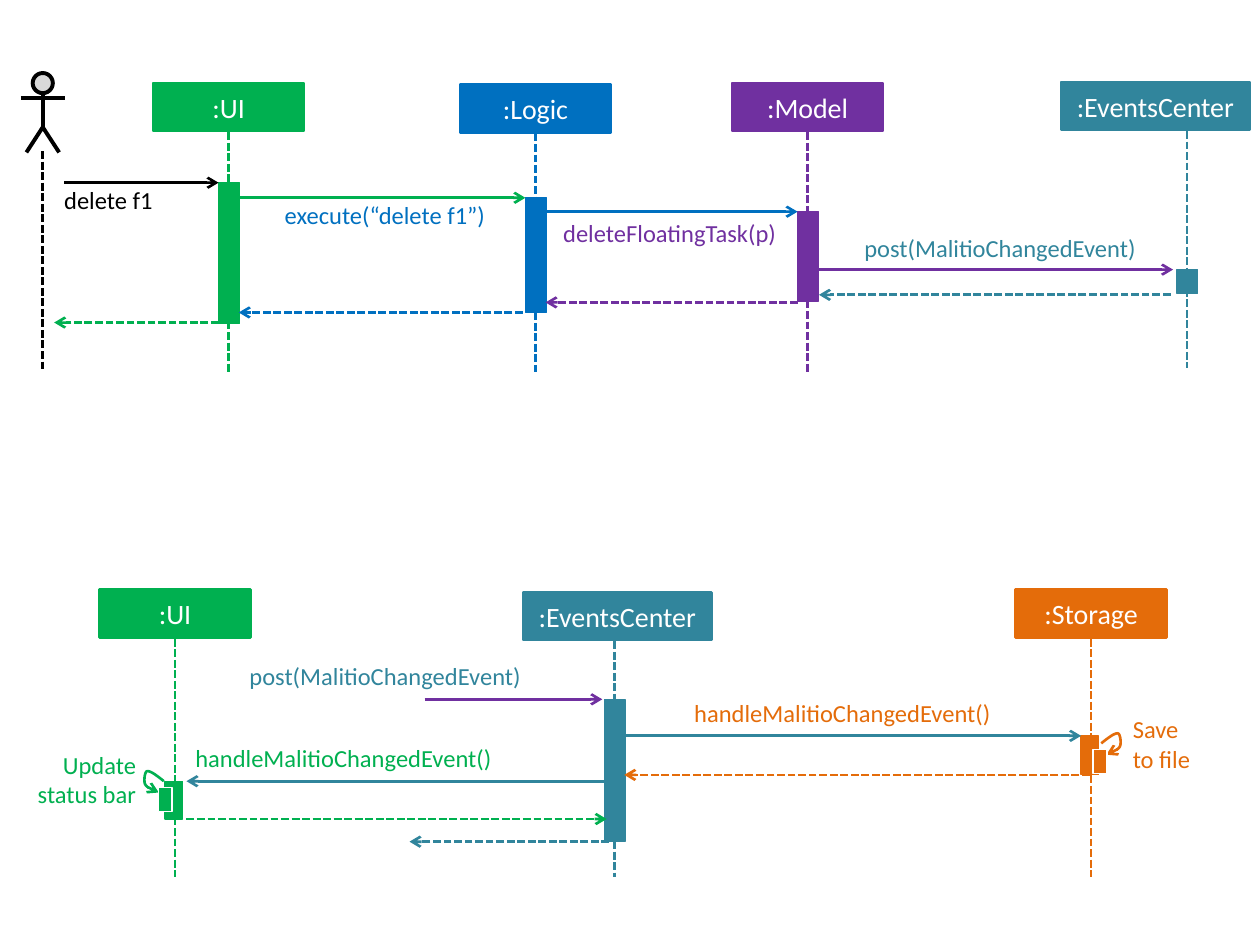
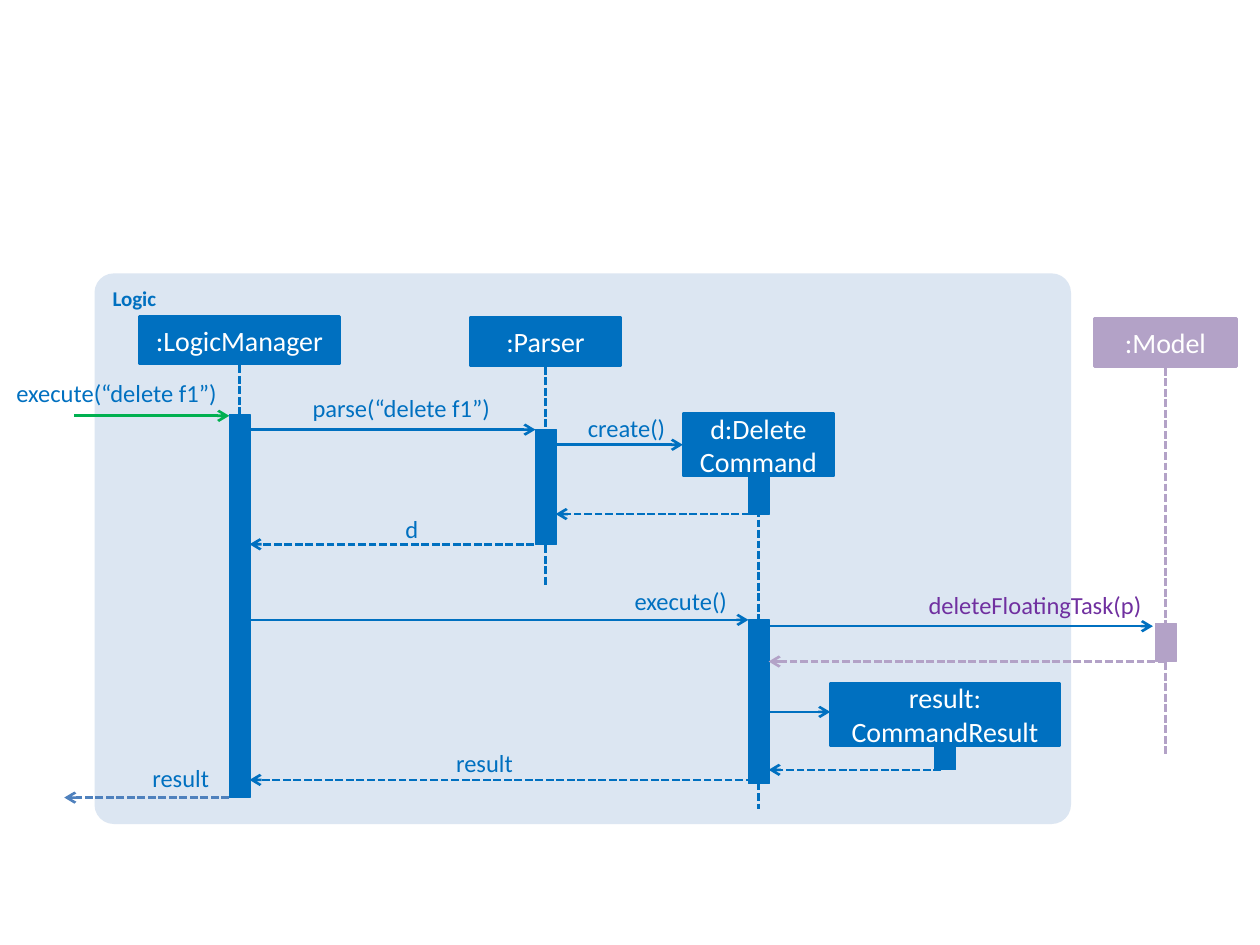
from pptx import Presentation
from pptx.dml.color import RGBColor
from pptx.enum.dml import MSO_LINE
from pptx.enum.shapes import MSO_CONNECTOR, MSO_SHAPE
from pptx.enum.text import MSO_ANCHOR, PP_ALIGN
from pptx.oxml.ns import qn
from pptx.util import Inches, Pt
from lxml import etree

RECT, ROUNDED, CIRCLE = MSO_SHAPE.RECTANGLE, MSO_SHAPE.ROUNDED_RECTANGLE, MSO_SHAPE.FLOWCHART_CONNECTOR
STRAIGHT, DASH = MSO_CONNECTOR.STRAIGHT, MSO_LINE.SQUARE_DOT
LEFT, CENTER, RIGHT = PP_ALIGN.LEFT, PP_ALIGN.CENTER, PP_ALIGN.RIGHT
TOP, MIDDLE = MSO_ANCHOR.TOP, MSO_ANCHOR.MIDDLE

FONT = "Calibri"
BLACK, WHITE, GREY = "000000", "FFFFFF", "D9D9D9"
GREEN, BLUE, PURPLE, TEAL, ORANGE = "00B050", "0070C0", "7030A0", "31859C", "E46C0A"
PANEL, LILAC, STEEL = "DCE6F2", "B3A2C7", "4F81BD"

# The slide is a grid of 100 columns by 75 rows, with square cells
WIDTH, HEIGHT = Inches(10), Inches(7.5)
COL, ROW = WIDTH / 100, HEIGHT / 75
HEAD_W, HEAD_H = 12, 3.8
BAR_W, HALF = 1.65, 0.8
LABEL_H = 2.4


def rgb(hex_colour):
    return RGBColor.from_string(hex_colour)


def set_text(tf, text, size=14, colour=BLACK, bold=False, align=LEFT, anchor=TOP, inset=None):
    tf.word_wrap = True
    tf.vertical_anchor = anchor
    if inset is not None:
        tf.margin_left = tf.margin_right = tf.margin_top = tf.margin_bottom = inset
    p = tf.paragraphs[0]
    p.text = text
    p.alignment = align
    for r in p.runs:
        r.font.name, r.font.size, r.font.bold = FONT, Pt(size), bold
        r.font.color.rgb = rgb(colour)


def set_line(line, colour, width, dashed=False):
    line.color.rgb = rgb(colour)
    line.width = Pt(width)
    if dashed:
        line.dash_style = DASH


def add_arrowhead(sp, end="a:tailEnd"):
    ln = sp.line._get_or_add_ln()
    etree.SubElement(ln, qn(end)).set("type", "arrow")


def curve(p0, p1, p2, p3, steps=8):
    """Points along a cubic curve, without its first point."""
    points = []
    for i in range(1, steps + 1):
        t = i / steps
        weights = ((1 - t) ** 3, 3 * t * (1 - t) ** 2, 3 * t * t * (1 - t), t ** 3)
        points.append(tuple(sum(w * p[k] for w, p in zip(weights, (p0, p1, p2, p3)))
                            for k in (0, 1)))
    return points


class Diagram:
    """A sequence diagram whose parts are placed from its own left and top."""

    def __init__(self, s, left, top):
        self.s, self.left, self.top = s, left, top

    def at(self, x, y):
        return round((self.left + x) * COL), round((self.top + y) * ROW)

    def box(self, x, y, w, h, fill, line=None, width=0.75, kind=RECT):
        sp = self.s.shapes.add_shape(kind, *self.at(x, y), round(w * COL), round(h * ROW))
        sp.shadow.inherit = False
        sp.fill.solid()
        sp.fill.fore_color.rgb = rgb(fill)
        if line:
            set_line(sp.line, line, width)
        else:
            sp.line.fill.background()
        return sp

    def line(self, x1, y1, x2, y2, colour, width=1.5, dashed=False, arrow=False):
        cn = self.s.shapes.add_connector(STRAIGHT, *self.at(x1, y1), *self.at(x2, y2))
        set_line(cn.line, colour, width, dashed)
        if arrow:
            add_arrowhead(cn)
        etree.SubElement(cn._element.spPr, qn("a:effectLst"))

    def path_line(self, points, colour, width):
        start, *rest = [self.at(*point) for point in points]
        fb = self.s.shapes.build_freeform(*start)
        fb.add_line_segments(rest, close=False)
        sp = fb.convert_to_shape()
        sp.shadow.inherit = False
        sp.fill.background()
        set_line(sp.line, colour, width)
        return sp

    def label(self, x, y, w, text, colour, align=LEFT, h=LABEL_H):
        tb = self.s.shapes.add_textbox(*self.at(x, y), round(w * COL), round(h * ROW))
        set_text(tb.text_frame, text, colour=colour, align=align, inset=0)

    def participant(self, x, top, name, colour, w=HEAD_W, h=HEAD_H, shift=0,
                    end=None, bars=(), bar_w=BAR_W):
        """A head, a lifeline down to end, and bars given as (top, bottom)."""
        head = self.box(x + shift - w / 2, top, w, h, colour, colour, 1.5)
        set_text(head.text_frame, name, size=16, colour=WHITE, align=CENTER, anchor=MIDDLE)
        if end:
            self.line(x, top + h + 0.1, x, end, colour, dashed=True)
        for bar_top, bottom in bars:
            self.box(x - HALF, bar_top, bar_w, bottom - bar_top, colour, colour)

    def message(self, x1, x2, y, colour, dashed=False, gaps=(HALF, HALF)):
        """An arrow between two lifelines that stops at the edges of their bars."""
        way = 1 if x2 > x1 else -1
        self.line(x1 + way * gaps[0], y, x2 - way * gaps[1], y, colour, dashed=dashed, arrow=True)

    def reply(self, x1, x2, y, colour, gaps=(HALF, HALF)):
        self.message(x1, x2, y, colour, True, gaps)

    def actor(self, x, top, end):
        self.line(x, top + 6.2, x, end, BLACK, dashed=True)
        self.box(x - 0.8, top, 1.6, 1.6, GREY, BLACK, 2.25, CIRCLE)
        self.line(x, top + 1.6, x, top + 4.4, BLACK, 2.25)
        self.line(x - 1.75, top + 2, x + 1.75, top + 2, BLACK, 2.25)
        self.path_line([(x - 1.3, top + 6.3), (x, top + 4.3), (x + 1.3, top + 6.3)], BLACK, 2.25)

    def self_call(self, x, y, side, colour):
        """A small bar with a looping arrow; side is -1 for left, 1 for right."""
        offsets = [(0.5, 0.4), (1, 0.2), (1.5, 0), (1.6, -0.3), (1.7, -0.6),
                   (1.6, -1.3), (1.4, -1.3), (1.1, -1.3), (0.6, -0.9), (0.1, -0.5)]
        pts = [(x + side * dx, y + dy) for dx, dy in offsets]
        points = pts[:1]
        for i in (0, 3, 6):
            points += curve(*pts[i:i + 4])
        add_arrowhead(self.path_line(points, colour, 1.5), "a:headEnd")
        self.box(x - 0.55, y, 1.1, 1.9, colour, WHITE)


def delete_flow(s, left, top):
    d = Diagram(s, left, top)
    user, ui, logic, model, events = 3.4, 18.15, 42.5, 64.1, 94.2
    end = 24.5

    # Participants
    d.actor(user, 0.8, end)
    d.participant(ui, 1.6, ":UI", GREEN, end=end, bars=[(9.5, 20.7)])
    d.participant(logic, 1.7, ":Logic", BLUE, end=end, bars=[(10.7, 19.8)])
    d.participant(model, 1.6, ":Model", PURPLE, end=end, bars=[(11.8, 18.9)])
    d.participant(events, 1.5, ":EventsCenter", TEAL, w=15, shift=-2.5, end=24.2,
                  bars=[(16.4, 18.3)])

    # Calls and replies
    d.message(user, ui, 9.5, BLACK, gaps=(1.7, HALF))
    d.message(ui, logic, 10.7, GREEN)
    d.message(logic, model, 11.8, BLUE)
    d.message(model, events, 16.4, PURPLE, gaps=(0.9, 1.1))
    d.reply(events, model, 18.4, TEAL, gaps=(1.3, 0.9))
    d.reply(model, logic, 19, PURPLE)
    d.reply(logic, ui, 19.8, BLUE, gaps=(1, HALF))
    d.reply(ui, user, 20.6, GREEN, gaps=(HALF, 0.9))

    # Labels
    for x, y, w, text, colour in [
            (5.1, 9.7, 9.4, "delete f1", BLACK),
            (22.6, 10.9, 17.5, "execute(“delete f1”)", BLUE),
            (44.7, 12.3, 18, "deleteFloatingTask(p)", PURPLE),
            (68.6, 13.5, 26.7, "post(MalitioChangedEvent)", TEAL)]:
        d.label(x, y, w, text, colour)


def event_flow(s, left, top):
    d = Diagram(s, left, top)
    ui, events, storage = 13.9, 48.75, 86.6
    end = 24.6

    # Participants
    d.participant(ui, 1.8, ":UI", GREEN, end=end, bars=[(17, 20)], bar_w=1.4)
    d.participant(events, 2, ":EventsCenter", TEAL, w=15, shift=0.25, end=end, bars=[(10.5, 21.8)])
    d.participant(storage, 1.8, ":Storage", ORANGE, end=end, bars=[(13.4, 16.5)], bar_w=1.4)

    # Calls and replies
    d.message(33.7, events, 10.5, PURPLE, gaps=(0, 0.95))
    d.message(events, storage, 13.4, TEAL)
    d.reply(storage, events, 16.5, ORANGE, gaps=(0.1, HALF))
    d.message(events, ui, 17, TEAL, gaps=(0.6, 0.9))
    d.reply(ui, events, 20, GREEN, gaps=(0.9, 0.6))
    d.reply(events, 32.5, 21.8, TEAL, gaps=(0.4, 0))

    # Work inside one participant
    d.self_call(13.1, 17.5, -1, GREEN)
    d.self_call(87.3, 14.5, 1, ORANGE)

    # Labels
    d.label(19.8, 7.5, 29.7, "post(MalitioChangedEvent)", TEAL)
    d.label(55.1, 10.4, 29.1, "handleMalitioChangedEvent()", ORANGE)
    d.label(15.5, 14, 29.1, "handleMalitioChangedEvent()", GREEN)
    d.label(2.1, 14.5, 8.7, "Update status bar", GREEN, RIGHT, h=4.7)
    d.label(89.9, 11.7, 5.9, "Save\vto file", ORANGE, h=4.7)


def logic_flow(s, left, top):
    d = Diagram(s, left, top)
    manager, parser, command, result, model = 19, 43.3, 60.2, 75, 92.5

    # Component panel
    panel = d.box(7.5, 0.7, 77.5, 43.7, PANEL, kind=ROUNDED)
    panel.adjustments[0] = 0.035
    set_text(panel.text_frame, "Logic", size=12, colour=BLUE, bold=True)

    # Participants
    d.participant(manager, 4.1, ":LogicManager", BLUE, w=15.9, end=36.5, bars=[(11.9, 42.3)])
    d.participant(parser, 4.2, ":Parser", BLUE, end=25.5, bars=[(13.1, 22.2)])
    d.participant(command, 11.8, "d:Delete\vCommand", BLUE, h=5, end=43.2,
                  bars=[(16.8, 19.8), (28.2, 41.2)])
    d.participant(result, 33.2, "result:\vCommandResult", BLUE, w=18.2, h=5, bars=[(38.2, 40.1)])
    d.participant(model, 4.3, ":Model", LILAC, w=11.3, end=39, bars=[(28.5, 31.5)])

    # Calls
    d.message(5.9, manager, 12, GREEN, gaps=(0, HALF))
    for x1, x2, y, gap in [(manager, parser, 13.1, HALF), (parser, command, 14.3, HEAD_W / 2),
                           (manager, command, 28.2, HALF), (command, model, 28.7, HALF + 0.2),
                           (command, result, 35.5, 9.1)]:
        d.message(x1, x2, y, BLUE, gaps=(HALF, gap))

    # Replies
    for x1, x2, y, colour, gap in [(command, parser, 19.8, BLUE, 0.7),
                                   (parser, manager, 22.2, BLUE, 0.9),
                                   (model, command, 31.5, LILAC, 0),
                                   (result, command, 40.1, BLUE, 0.3),
                                   (command, manager, 40.9, BLUE, 0.4)]:
        d.reply(x1, x2, y, colour, gaps=(gap, HALF))
    d.reply(manager, 5.1, 42.3, STEEL, gaps=(HALF, 0))

    # Labels
    for x, y, w, text, colour in [
            (0, 9, 17.2, "execute(“delete f1”)", BLUE),
            (23.3, 10.2, 15.6, "parse(“delete f1”)", BLUE),
            (45.8, 11.8, 7, "create()", BLUE),
            (30.8, 19.8, 2.4, "d", BLUE),
            (48.3, 25.5, 9.4, "execute()", BLUE),
            (72.5, 25.8, 18.1, "deleteFloatingTask(p)", PURPLE),
            (33.9, 38.4, 6.8, "result", BLUE),
            (8.3, 39.6, 8.3, "result", BLUE)]:
        d.label(x, y, w, text, colour, RIGHT)


def main():
    prs = Presentation()
    prs.slide_width, prs.slide_height = WIDTH, HEIGHT
    blank = prs.slide_layouts[6]

    s = prs.slides.add_slide(blank)
    delete_flow(s, 0, 5)
    event_flow(s, 0, 45)

    s = prs.slides.add_slide(blank)
    logic_flow(s, 0, 21)

    prs.save("out.pptx")


if __name__ == "__main__":
    main()
